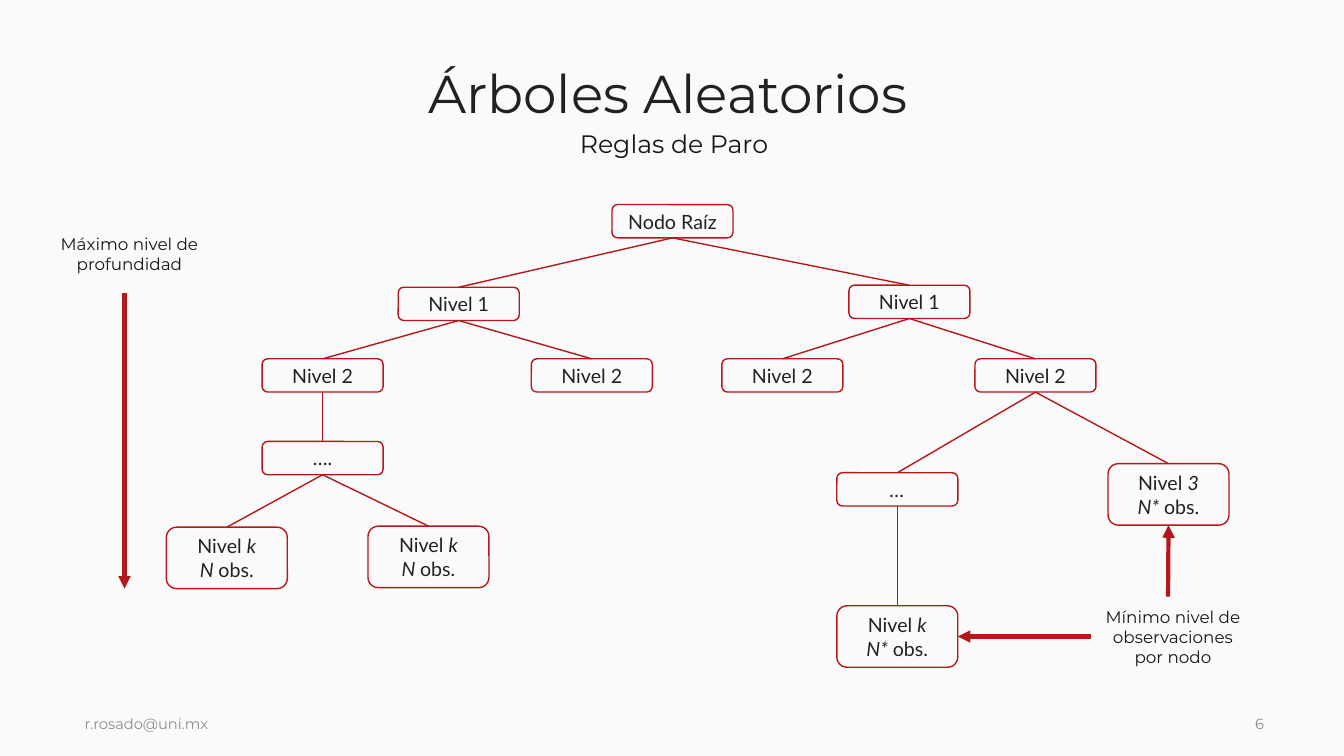
from dataclasses import dataclass

from lxml import etree
from pptx import Presentation
from pptx import util as u
from pptx.dml.color import RGBColor
from pptx.enum import shapes, text
from pptx.oxml import ns


@dataclass(frozen=True)
class Theme:
    background: str = "FAFAFA"
    accent: str = "B6171A"
    dark: str = "212121"
    body: str = "171616"
    muted: str = "8D8D8D"
    heading_font: str = "Montserrat"
    node_font: str = "Lato"
    title_size: float = 38
    subtitle_size: float = 18
    node_size: float = 14
    label_size: float = 12
    footer_size: float = 10.5
    branch_width: float = 1
    arrow_width: float = 3


@dataclass(frozen=True)
class Box:
    left: float
    top: float
    width: float
    height: float

    def inches(self):
        return [u.Inches(n) for n in (self.left, self.top, self.width, self.height)]


THEME = Theme()
TOP, LEFT, BOTTOM, RIGHT = range(4)  # connection sites of a box
NODE_WIDTH, NODE_HEIGHT, LEAF_HEIGHT = 1.2, 0.33, 0.61

# name: (left, top, text), relative to the tree; underscores enclose italics
NODES = {
    "root": (4.42, 0, "Nodo Raíz"),
    "left 1": (2.3, 0.82, "Nivel 1"),
    "right 1": (6.77, 0.8, "Nivel 1"),
    "left 2a": (0.95, 1.53, "Nivel 2"),
    "left 2b": (3.62, 1.53, "Nivel 2"),
    "right 2a": (5.51, 1.53, "Nivel 2"),
    "right 2b": (8.02, 1.53, "Nivel 2"),
    "left more": (0.95, 2.35, "…."),
    "right more": (6.65, 2.66, "_…_"),
    "left leaf a": (0, 3.2, "Nivel _k_\n_N _obs."),
    "left leaf b": (2, 3.19, "Nivel _k_\n_N _obs."),
    "right leaf": (6.65, 3.98, "Nivel _k_\n_N* _obs."),
    "early leaf": (9.34, 2.57, "Nivel _3_\n_N* _obs."),
}
BRANCHES = {
    "root": ("left 1", "right 1"),
    "left 1": ("left 2a", "left 2b"),
    "right 1": ("right 2a", "right 2b"),
    "left 2a": ("left more",),
    "left more": ("left leaf a", "left leaf b"),
    "right 2b": ("right more", "early leaf"),
    "right more": ("right leaf",),
}


def color(value):
    return RGBColor.from_string(value)


def style_run(run, size, value, font):
    run.font.size = u.Pt(size)
    run.font.name = font
    run.font.color.rgb = color(value)


def add_text(slide, box, words, size, value, align=text.PP_ALIGN.CENTER,
             anchor=text.MSO_ANCHOR.MIDDLE):
    shape = slide.shapes.add_textbox(*box.inches())
    frame = shape.text_frame
    frame.text = words
    frame.word_wrap = True
    frame.vertical_anchor = anchor
    paragraph = frame.paragraphs[0]
    paragraph.alignment = align
    style_run(paragraph.runs[0], size, value, THEME.heading_font)
    return shape


def add_label(slide, box, words):
    shape = add_text(slide, box, words, THEME.label_size, THEME.body)
    frame = shape.text_frame
    frame.margin_top = frame.margin_right = frame.margin_bottom = 0
    return shape


def add_line(slide, width, start=(0, 0), end=(0, 0), arrow=False):
    points = [u.Inches(n) for n in (*start, *end)]
    line = slide.shapes.add_connector(shapes.MSO_CONNECTOR.STRAIGHT, *points)
    line.line.color.rgb = color(THEME.accent)
    line.line.width = u.Pt(width)
    if arrow:
        etree.SubElement(line.line._get_or_add_ln(), ns.qn("a:tailEnd"), type="triangle")
    etree.SubElement(line._element.spPr, ns.qn("a:effectLst"))
    return line


def add_node(slide, left, top, words):
    lines = words.split("\n")
    height = LEAF_HEIGHT if len(lines) > 1 else NODE_HEIGHT
    shape = slide.shapes.add_shape(shapes.MSO_SHAPE.ROUNDED_RECTANGLE,
                                   *Box(left, top, NODE_WIDTH, height).inches())
    shape.shadow.inherit = False
    shape.fill.solid()
    shape.fill.fore_color.rgb = color(THEME.background)
    shape.line.color.rgb = color(THEME.accent)
    shape.line.width = u.Pt(THEME.branch_width)
    frame = shape.text_frame
    frame.vertical_anchor = text.MSO_ANCHOR.MIDDLE
    for index, line in enumerate(lines):
        paragraph = frame.add_paragraph() if index else frame.paragraphs[0]
        paragraph.alignment = text.PP_ALIGN.CENTER
        for position, part in enumerate(line.split("_")):
            if part:
                run = paragraph.add_run()
                run.text = part
                run.font.italic = position % 2 == 1
                style_run(run, THEME.node_size, THEME.dark, THEME.node_font)
    return shape


def draw_heading(slide, box):
    add_text(slide, Box(box.left, box.top, box.width, 0.89), "Árboles Aleatorios",
             THEME.title_size, THEME.dark).text_frame.paragraphs[0].line_spacing = 0.9
    add_text(slide, Box(box.left + 0.12, box.top + 0.71, box.width - 0.12, 0.4),
             "Reglas de Paro", THEME.subtitle_size, THEME.body,
             anchor=text.MSO_ANCHOR.TOP)


def draw_tree(slide, box):
    """Draw nodes and branches, and return the nodes by name."""
    nodes = {name: add_node(slide, box.left + left, box.top + top, words)
             for name, (left, top, words) in NODES.items()}
    for parent, children in BRANCHES.items():
        for child in children:
            branch = add_line(slide, THEME.branch_width)
            branch.begin_connect(nodes[parent], BOTTOM)
            branch.end_connect(nodes[child], TOP)
    return nodes


def draw_depth_rule(slide, box):
    label_height = 0.79
    add_label(slide, Box(box.left, box.top, box.width, label_height),
              "Máximo nivel de profundidad")
    center = box.left + box.width / 2
    add_line(slide, THEME.arrow_width, (center, box.top + label_height),
             (center, box.top + box.height), arrow=True)


def draw_observations_rule(slide, box, nodes):
    label = add_label(slide, box, "Mínimo nivel de observaciones por nodo")
    for label_side, leaf, leaf_side in ((LEFT, "right leaf", RIGHT),
                                        (TOP, "early leaf", BOTTOM)):
        arrow = add_line(slide, THEME.arrow_width, arrow=True)
        arrow.begin_connect(label, label_side)
        arrow.end_connect(nodes[leaf], leaf_side)


def draw_footer(slide, box):
    number_width = 0.39
    number_left = box.left + box.width - number_width
    for left, width, words in ((box.left, 7.66, "r.rosado@uni.mx"),
                               (number_left, number_width, "6")):
        add_text(slide, Box(left, box.top, width, box.height), words,
                 THEME.footer_size, THEME.muted, text.PP_ALIGN.LEFT)


def main():
    presentation = Presentation()
    presentation.slide_width = u.Inches(13.33)
    presentation.slide_height = u.Inches(7.5)
    slide = presentation.slides.add_slide(presentation.slide_layouts[6])
    slide.background.fill.solid()
    slide.background.fill.fore_color.rgb = color(THEME.background)
    draw_heading(slide, Box(0.64, 0.51, 11.97, 1.11))
    nodes = draw_tree(slide, Box(1.65, 2.03, 10.54, 4.59))
    draw_depth_rule(slide, Box(0.47, 2.12, 1.53, 3.72))
    draw_observations_rule(slide, Box(10.82, 5.92, 1.53, 0.79), nodes)
    draw_footer(slide, Box(0.74, 6.86, 12, 0.64))
    presentation.save("out.pptx")


if __name__ == "__main__":
    main()
